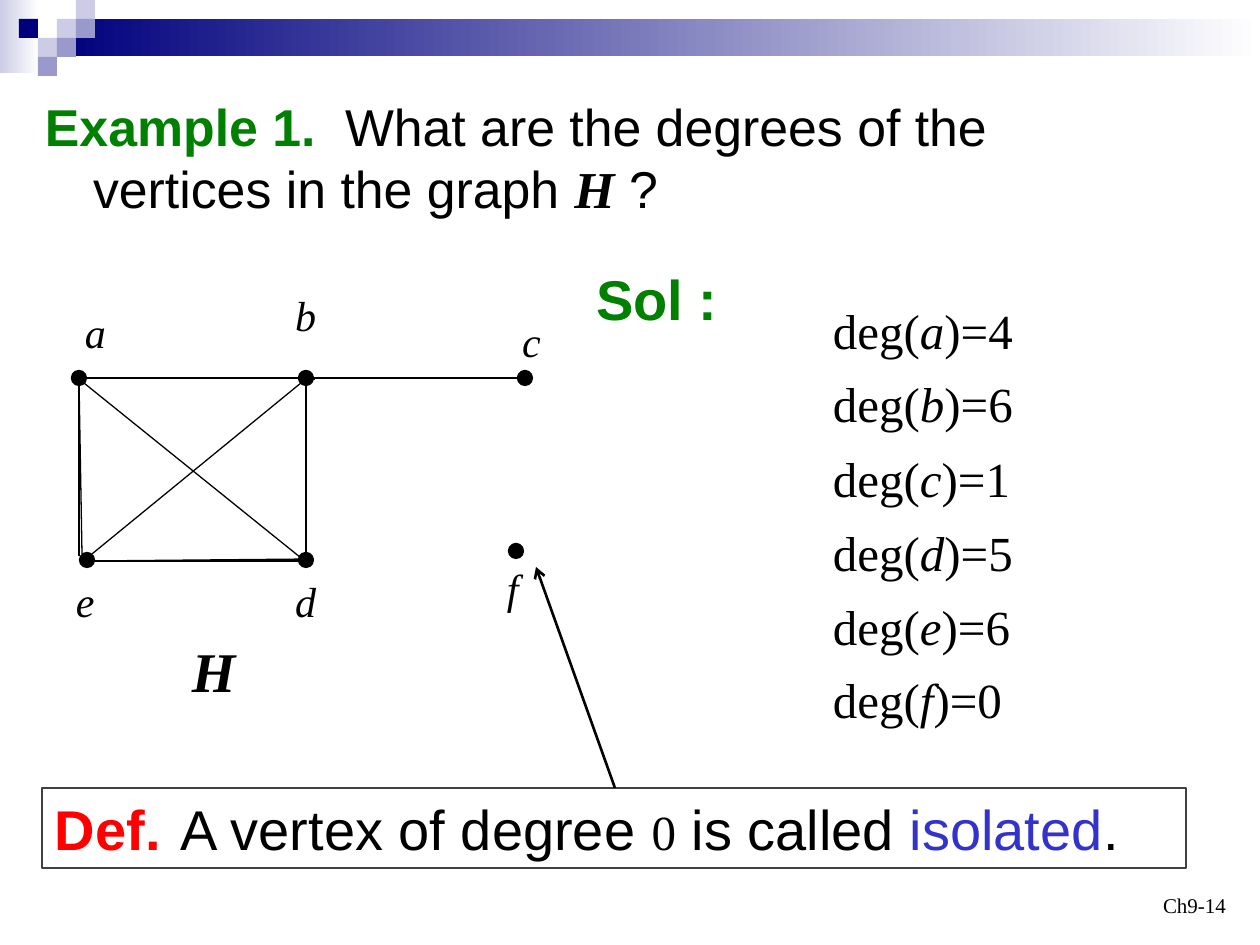
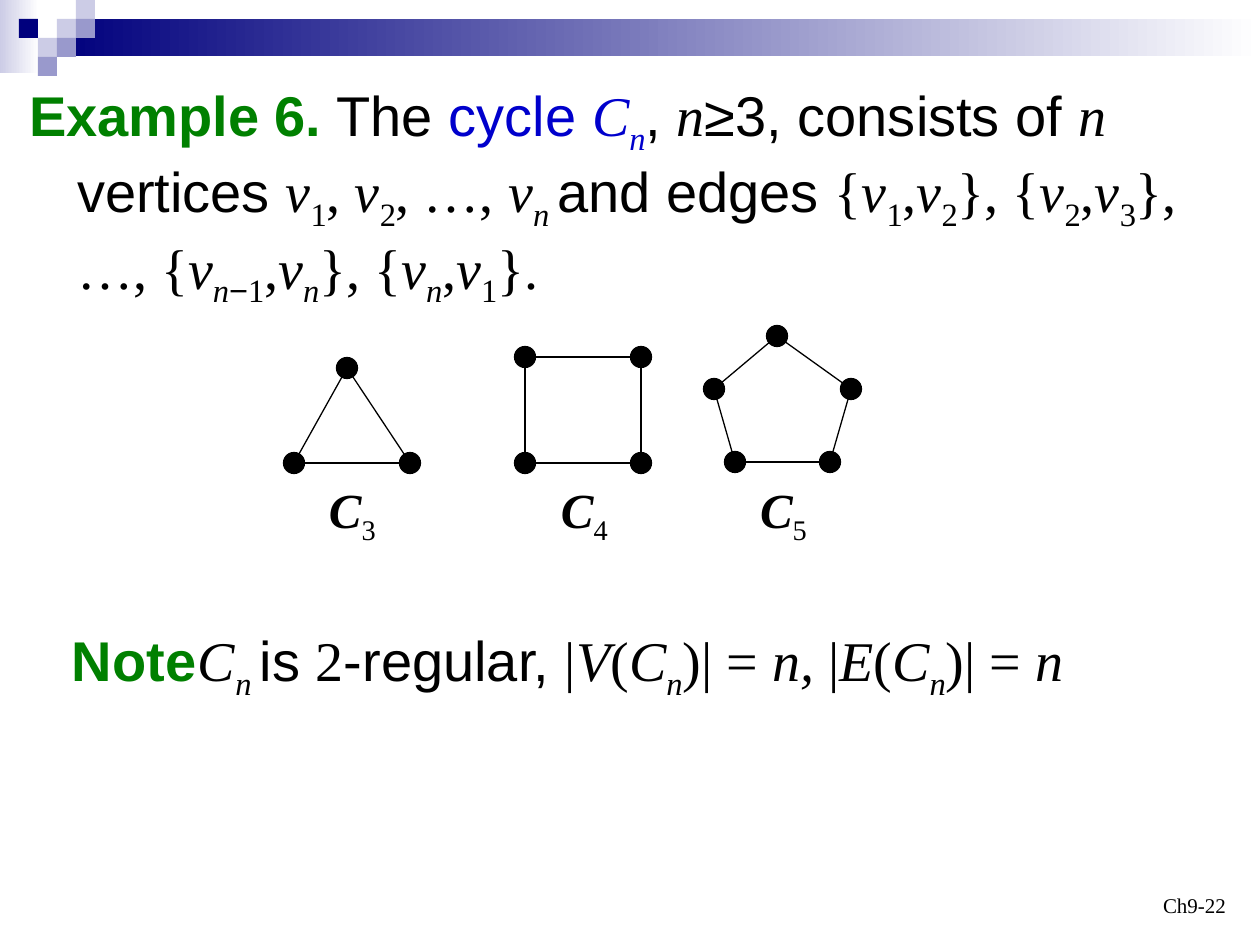
import pptx
import pptx.dml.color
import pptx.enum.shapes
import pptx.enum.text
import pptx.oxml.ns
import pptx.util
from lxml import etree

PIXEL = 914400 / 126
COLORS = {
    "black": "000000", "white": "FFFFFF", "navy": "00007D",
    "lavender": "CCCCE6", "violet": "9999CC", "green": "008000",
    "red": "FF0000", "blue": "0000CC", "indigo": "3333CC", "gray": "404040",
}
SANS, SERIF = "Arial", "Times New Roman"
PLAIN = {"font": SANS}
HEADING = {"font": SANS, "color": "green", "bold": True}
ROMAN = {"font": SERIF}
MATH = {"font": SERIF, "italic": True}
GRAPH_NAME = {**MATH, "bold": True}
ROMAN_SUB = {**ROMAN, "subscript": True}
MATH_SUB = {**MATH, "subscript": True}
BLUE_TERM = {"color": "blue"}
SHAPES = pptx.enum.shapes.MSO_SHAPE
ALIGN = pptx.enum.text.PP_ALIGN
ANCHOR = pptx.enum.text.MSO_ANCHOR


def px(*lengths):
    return [round(length * PIXEL) for length in lengths]


def rgb(name):
    return pptx.dml.color.RGBColor.from_string(COLORS[name])


def add_element(parent, tag, **attributes):
    element = etree.SubElement(parent, pptx.oxml.ns.qn(tag))
    for name, value in attributes.items():
        element.set(name, str(value))
    return element


def write_text(shape, runs, size=32, align=ALIGN.LEFT, anchor=ANCHOR.TOP,
               wrap=False, hanging=0, tab=None, top=6):
    frame = shape.text_frame
    frame.auto_size = pptx.enum.text.MSO_AUTO_SIZE.NONE
    frame.word_wrap = wrap
    frame.vertical_anchor = anchor
    frame.margin_left, frame.margin_top, frame.margin_right, frame.margin_bottom = px(13, top, 13, 6)
    paragraph = frame.paragraphs[0]
    paragraph.alignment = align
    paragraph.space_before = pptx.util.Pt(0)
    properties = paragraph._p.get_or_add_pPr()
    properties.set("marL", str(px(hanging)[0]))
    properties.set("indent", str(px(-hanging)[0]))
    add_element(properties, "a:buNone")
    if tab:
        stops = add_element(properties, "a:tabLst")
        add_element(stops, "a:tab", pos=px(tab)[0], algn="l")
    for text, style in runs:
        run = paragraph.add_run()
        run.text = text
        run.font.name = style["font"]
        run.font.size = pptx.util.Pt(style.get("size", size))
        run.font.bold = style.get("bold", False)
        run.font.italic = style.get("italic", False)
        run.font.color.rgb = rgb(style.get("color", "black"))
        if style.get("subscript"):
            run._r.get_or_add_rPr().set("baseline", "-25000")


def add_label(slide, box, runs, **text_format):
    write_text(slide.shapes.add_textbox(*px(*box)), runs, **text_format)


def add_shape(slide, kind, box, fill=None, line=None, fade=False):
    shape = slide.shapes.add_shape(kind, *px(*box))
    shape.shadow.inherit = False
    if fade:
        shape.fill.gradient()
        shape.fill.gradient_angle = 0
        for stop, color in zip(shape.fill.gradient_stops, (fill, "white")):
            stop.color.rgb = rgb(color)
    elif fill:
        shape.fill.solid()
        shape.fill.fore_color.rgb = rgb(fill)
    else:
        shape.fill.background()
    if line:
        shape.line.color.rgb = rgb(line)
        shape.line.width = pptx.util.Pt(0.75)
    else:
        shape.line.fill.background()
    return shape


def add_line(slide, start, end, width=0.75, arrow=False):
    connector = slide.shapes.add_connector(
        pptx.enum.shapes.MSO_CONNECTOR.STRAIGHT, *px(*start, *end))
    connector.line.color.rgb = rgb("black")
    connector.line.width = pptx.util.Pt(width)
    if arrow:
        add_element(connector.line._get_or_add_ln(), "a:tailEnd", type="arrow")
    add_element(connector._element.spPr, "a:effectLst")


def add_vertex(slide, center, diameter):
    x, y = center
    box = (x - diameter / 2, y - diameter / 2, diameter, diameter)
    add_shape(slide, SHAPES.OVAL, box, "black", "black")


def add_band(slide):
    add_shape(slide, SHAPES.RECTANGLE, (0, 0, 39, 73), "lavender", fade=True)
    add_shape(slide, SHAPES.RECTANGLE, (57, 19, 1203, 37), "navy", fade=True)
    tiles = {
        "lavender": [(3, 1), (4, 0), (2, 2)],
        "violet": [(4, 1), (3, 2), (2, 3)],
        "navy": [(1, 1)],
    }
    for color, cells in tiles.items():
        for column, row in cells:
            add_shape(slide, SHAPES.RECTANGLE, (19 * column, 19 * row, 19, 19), color)


def add_example_slide(presentation, page, box, statement, **text_format):
    slide = presentation.slides.add_slide(presentation.slide_layouts[1])
    title = slide.shapes.title._element
    title.getparent().remove(title)
    add_band(slide)
    body = slide.placeholders[1]
    body.left, body.top, body.width, body.height = px(*box)
    write_text(body, statement, wrap=True, hanging=48, top=11, **text_format)
    add_label(slide, (945, 861, 294, 63), [(page, ROMAN)], size=12,
              align=ALIGN.RIGHT, anchor=ANCHOR.BOTTOM, wrap=True)
    return slide


def indexed(letter, index):
    return [(letter, MATH), (index, ROMAN_SUB if index.isdigit() else MATH_SUB)]


def edge_set(first, second):
    return [("{", ROMAN), *first, (",", ROMAN), *second, ("}", ROMAN)]


def add_graph_h(slide):
    vertices = {
        "a": (79, 378), "b": (306, 378), "c": (525, 378),
        "d": (306, 560), "e": (87, 560), "f": (516, 551),
    }
    labels = {
        "a": (72, 301), "b": (282, 284), "c": (509, 310),
        "d": (282, 570), "e": (63, 570), "f": (494, 557),
    }
    edges = [
        ((87, 378), (299, 378), 0.75), ((79, 379), (82, 554), 0.75),
        ((79, 374), (79, 556), 0.75), ((306, 370), (306, 552), 0.75),
        ((79, 379), (311, 566), 0.75), ((301, 383), (92, 554), 0.75),
        ((88, 561), (314, 559), 0.75), ((88, 561), (299, 561), 0.75),
        ((88, 561), (299, 561), 1), ((314, 378), (518, 378), 0.75),
        ((315, 379), (299, 379), 1.25),
    ]
    for start, end, width in edges:
        add_line(slide, start, end, width)
    for name, center in vertices.items():
        add_vertex(slide, center, 15)
        add_label(slide, (*labels[name], 45, 63), [(name, MATH)], size=24)
    add_label(slide, (179, 630, 68, 81), [("H", GRAPH_NAME)])


def add_degrees(slide):
    add_label(slide, (583, 252, 257, 81), [("Sol :", HEADING)], wrap=True, top=12)
    for row, (vertex, degree) in enumerate(zip("abcdef", (4, 6, 1, 5, 6, 0))):
        runs = [("deg(", ROMAN), (vertex, MATH), (f")={degree}", ROMAN)]
        add_label(slide, (820, 294 + 74 * row, 230, 72), runs, size=28, wrap=True)


def add_isolated_definition(slide):
    box = add_shape(slide, SHAPES.RECTANGLE, (42, 788, 1144, 80), line="gray")
    write_text(box, [
        ("Def.", {**HEADING, "color": "red"}),
        ("\tA vertex of degree ", PLAIN),
        ("0", {**ROMAN, "size": 28}),
        (" is called ", PLAIN),
        ("isolated", {**PLAIN, "color": "indigo"}),
        (".", PLAIN),
    ], wrap=True, tab=149)
    add_line(slide, (615, 788), (536, 567), 1.5, arrow=True)


def add_cycle(slide, vertices, label_left):
    for start, end in zip(vertices, vertices[1:] + vertices[:1]):
        add_line(slide, start, end)
    for center in vertices:
        add_vertex(slide, center, 21)
    name = [("C", GRAPH_NAME), (str(len(vertices)), ROMAN_SUB)]
    add_label(slide, (label_left, 473, 72, 79), name, size=28)


def add_degree_example(presentation):
    slide = add_example_slide(presentation, "Ch9-14", (32, 84, 1134, 147), [
        ("Example 1.", HEADING),
        ("\tWhat are the degrees of the vertices in the graph ", PLAIN),
        ("H", GRAPH_NAME),
        (" ?", PLAIN),
    ], size=29.6, tab=300)
    add_graph_h(slide)
    add_degrees(slide)
    add_isolated_definition(slide)


def add_cycle_example(presentation):
    v1, v2, v3, vn = (indexed("v", index) for index in "123n")
    before_last = [("v", MATH), ("n", MATH_SUB), ("−", {**PLAIN, "subscript": True}), ("1", ROMAN_SUB)]
    comma = (", ", ROMAN)
    slide = add_example_slide(presentation, "Ch9-22", (16, 69, 1222, 309), [
        ("Example 6.", HEADING), (" The ", PLAIN),
        ("cycle ", {**PLAIN, **BLUE_TERM}),
        ("C", {**MATH, **BLUE_TERM}), ("n", {**MATH_SUB, **BLUE_TERM}),
        (", ", PLAIN), ("n", MATH), ("≥3, consists of ", PLAIN), ("n", MATH),
        (" vertices ", PLAIN), *v1, comma, *v2, (", …, ", ROMAN),
        ("v", MATH), ("n ", MATH_SUB), ("and edges ", PLAIN),
        *edge_set(v1, v2), comma, *edge_set(v2, v3), (", …, ", ROMAN),
        *edge_set(before_last, vn), comma, *edge_set(vn, v1), (".", ROMAN),
    ])
    add_cycle(slide, [(347, 368), (410, 463), (294, 463)], 316)
    add_cycle(slide, [(525, 357), (641, 357), (641, 463), (525, 463)], 548)
    add_cycle(slide, [(777, 336), (851, 389), (830, 462), (735, 462), (714, 389)], 747)
    cycle = indexed("C", "n")
    add_label(slide, (59, 620, 1051, 89), [
        ("Note", HEADING), ("\tC", MATH), ("n ", MATH_SUB), ("is ", PLAIN),
        ("2", ROMAN), ("-regular, ", PLAIN),
        ("|", ROMAN), ("V", MATH), ("(", ROMAN), *cycle, (")| = ", ROMAN), ("n, ", MATH),
        ("|", ROMAN), ("E", MATH), ("(", ROMAN), *cycle, (")| = ", ROMAN), ("n", MATH),
    ], wrap=True, tab=157)


def main():
    presentation = pptx.Presentation()
    presentation.slide_width, presentation.slide_height = px(1260, 945)
    add_degree_example(presentation)
    add_cycle_example(presentation)
    presentation.save("out.pptx")


if __name__ == "__main__":
    main()
